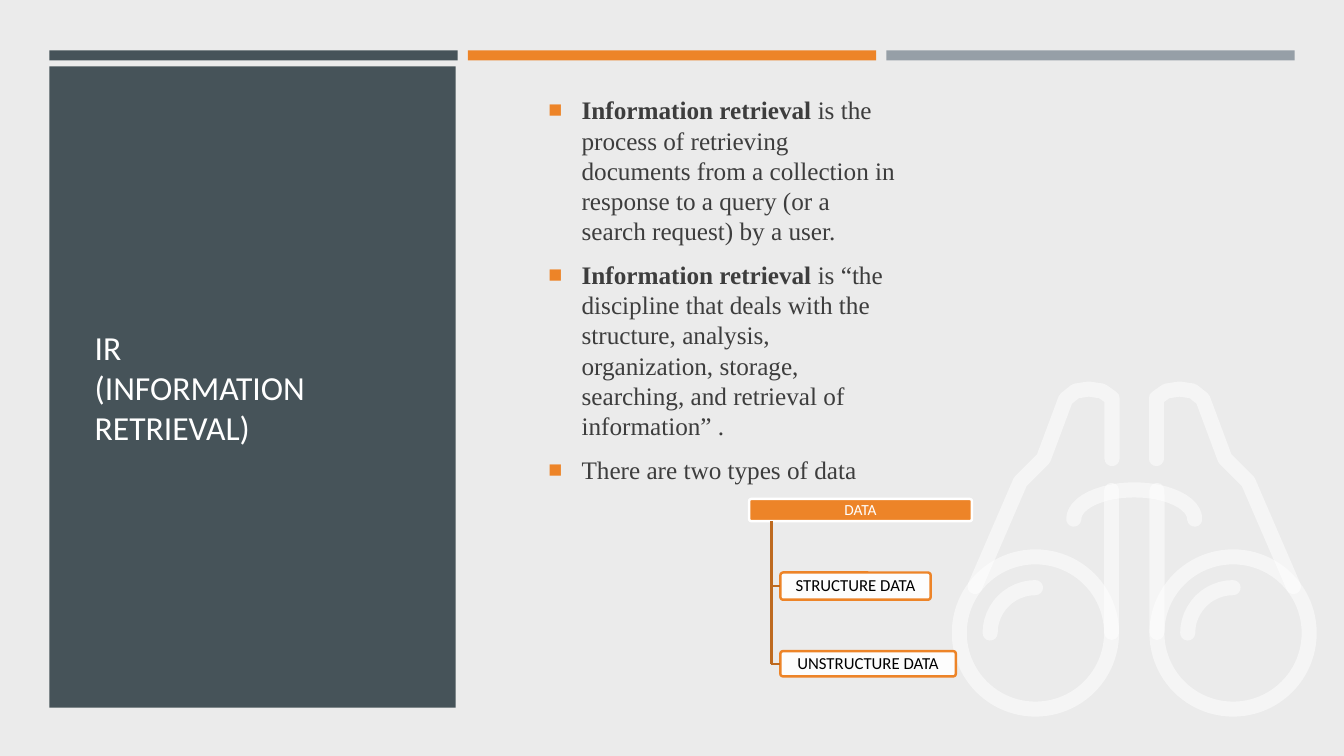
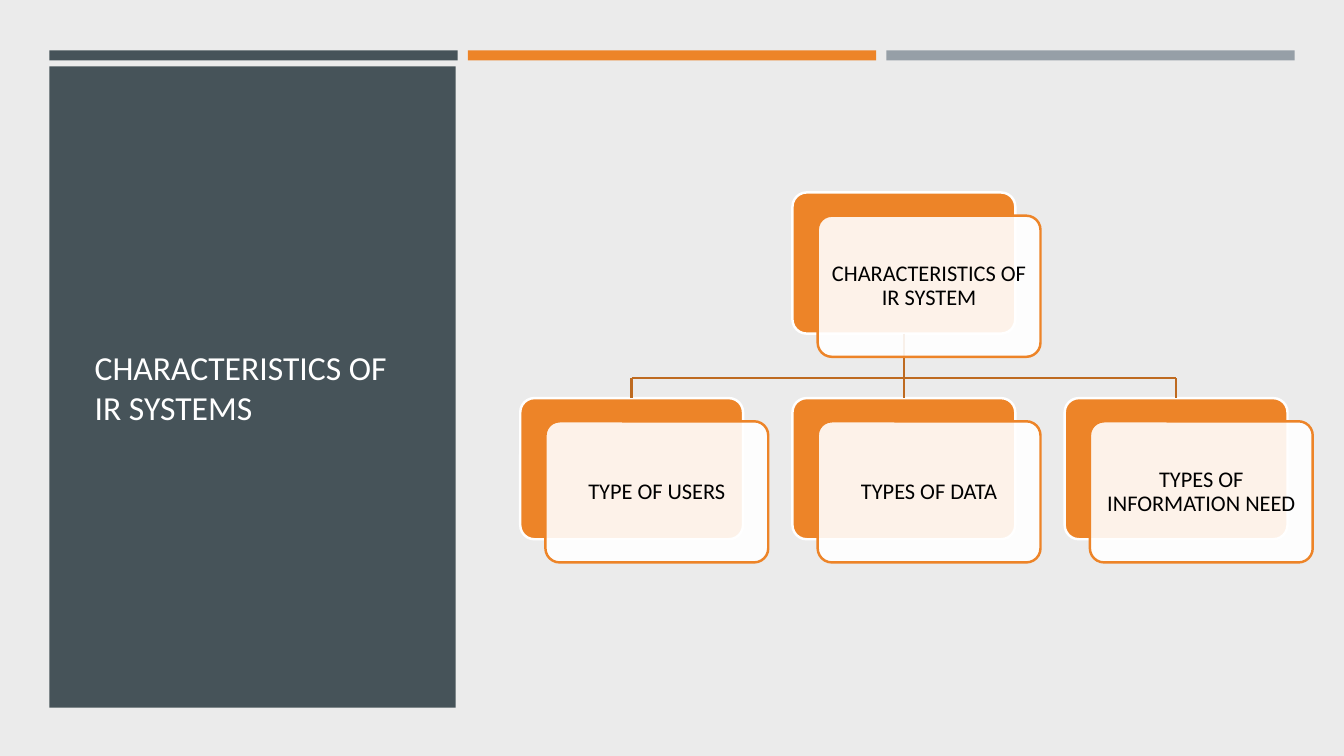
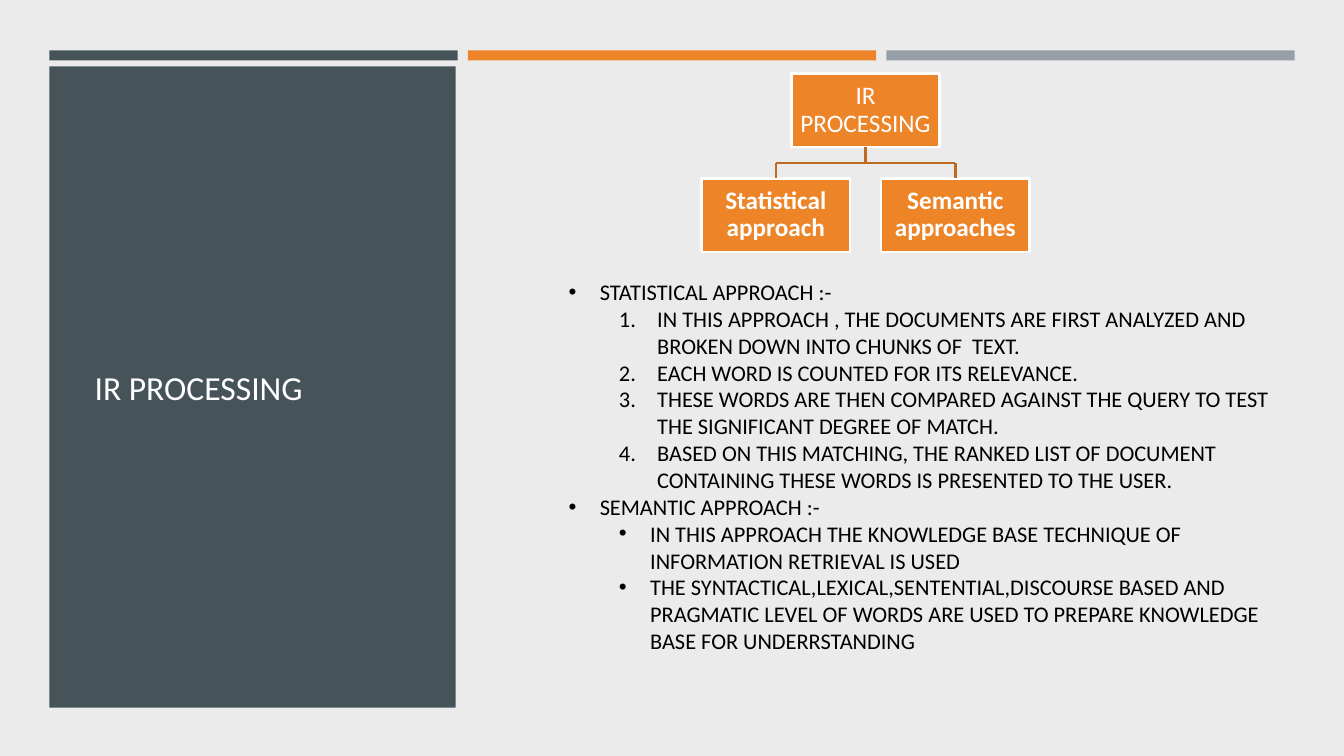
from math import cos, pi, sin

from lxml.etree import SubElement
from pptx import Presentation
from pptx.dml.color import RGBColor
from pptx.enum.shapes import MSO_CONNECTOR, MSO_SHAPE
from pptx.enum.text import MSO_ANCHOR, PP_ALIGN
from pptx.oxml.ns import qn
from pptx.util import Inches, Pt

SLATE, ORANGE, GREY = "465359", "ED8428", "969FA7"
PALE, RUST, WHITE, BLACK, INK = "EBEBEB", "BE6A20", "FFFFFF", "000000", "3D3D3D"
FONT = "Calibri"
RECT, ROUND = MSO_SHAPE.RECTANGLE, MSO_SHAPE.ROUNDED_RECTANGLE
rgb = RGBColor.from_string


def box(slide, kind, at, fill, edge=None, alpha=100, text="", size=16,
        ink=BLACK, bold=False, pad=0.02):
    shape = slide.shapes.add_shape(kind, *[Inches(v) for v in at])
    shape.shadow.inherit = False
    shape.fill.solid()
    shape.fill.fore_color.rgb = rgb(fill)
    if alpha < 100:
        tint = shape._element.spPr.find(qn("a:solidFill"))[0]
        SubElement(tint, qn("a:alpha"), val=str(alpha * 1000))
    if edge:
        shape.line.color.rgb = rgb(edge)
        shape.line.width = Pt(1.75)
    else:
        shape.line.fill.background()
    if kind == ROUND:
        shape.adjustments[0] = 0.1
    if text:
        frame = shape.text_frame
        frame.text = text
        frame.word_wrap = True
        frame.vertical_anchor = MSO_ANCHOR.MIDDLE
        frame.margin_left = frame.margin_right = Inches(pad)
        frame.margin_top = frame.margin_bottom = Inches(pad)
        para = frame.paragraphs[0]
        para.alignment = PP_ALIGN.CENTER
        para.line_spacing = 0.9
        font = para.runs[0].font
        font.name, font.size, font.bold = FONT, Pt(size), bold
        font.color.rgb = rgb(ink)
    return shape


def link(slide, x1, y1, x2, y2):
    line = slide.shapes.add_connector(MSO_CONNECTOR.STRAIGHT, x1, y1, x2, y2)
    line.line.color.rgb = rgb(RUST)
    line.line.width = Pt(1.75)
    SubElement(line._element.spPr, qn("a:effectLst"))
    return line


deck = Presentation()
deck.slide_width, deck.slide_height = Inches(13.33), Inches(7.5)

# Background, bands, side panel and title of every slide
titles = ["IR\v(INFORMATION RETRIEVAL)", "CHARACTERISTICS OF IR SYSTEMS",
          "IR PROCESSING"]
slides = []
for title in titles:
    slide = deck.slides.add_slide(deck.slide_layouts[6])
    slide.background.fill.solid()
    slide.background.fill.fore_color.rgb = rgb(PALE)
    for i, color in enumerate([SLATE, ORANGE, GREY]):
        box(slide, RECT, (0.49 + 4.15 * i, 0.5, 4.05, 0.1), color)
    box(slide, RECT, (0.49, 0.66, 4.03, 6.36), SLATE)
    area = slide.shapes.add_textbox(Inches(0.84), Inches(2.9), Inches(3.32), Inches(1.88))
    frame = area.text_frame
    frame.text = title
    frame.word_wrap = True
    frame.vertical_anchor = MSO_ANCHOR.MIDDLE
    for run in frame.paragraphs[0].runs:
        run.font.name, run.font.size = FONT, Pt(24)
        run.font.color.rgb = rgb(WHITE)
    slides.append(slide)
intro, traits, process = slides

# Bulleted lists: each row has bold text, plain text, bullet, indent, hang, level
square, top, step, sub = ("■", 0.33, 0.33, 0), ("•", 0.81, 0.31, 1), ("1.", 1.38, 0.38, 2), ("•", 1.31, 0.31, 2)
facts = [
    ("Information retrieval ", "is the process of retrieving documents from a collection in "
     "response to a query (or a search request) by a user.", square),
    ("Information retrieval ", "is “the discipline that deals with the structure, analysis, "
     "organization, storage, searching, and retrieval of information” .", square),
    ("", "There are two types of data", square),
]
steps = [
    ("", "STATISTICAL APPROACH :-", top),
    ("", "IN THIS APPROACH , THE DOCUMENTS ARE FIRST ANALYZED AND BROKEN DOWN "
     "INTO CHUNKS OF  TEXT.", step),
    ("", "EACH WORD IS COUNTED FOR ITS RELEVANCE.", step),
    ("", "THESE WORDS ARE THEN COMPARED AGAINST THE QUERY TO TEST THE SIGNIFICANT "
     "DEGREE OF MATCH.", step),
    ("", "BASED ON THIS MATCHING, THE RANKED LIST OF DOCUMENT CONTAINING THESE WORDS "
     "IS PRESENTED TO THE USER.", step),
    ("", "SEMANTIC APPROACH :-", top),
    ("", "IN THIS APPROACH THE KNOWLEDGE BASE TECHNIQUE OF INFORMATION RETRIEVAL IS USED", sub),
    ("", "THE SYNTACTICAL,LEXICAL,SENTENTIAL,DISCOURSE BASED AND PRAGMATIC LEVEL OF WORDS "
     "ARE USED TO PREPARE KNOWLEDGE BASE FOR UNDERRSTANDING", sub),
]
lists = [(intro, (5.34, 0.89, 3.68, 4), "Times New Roman", 18, INK, 9.6, facts),
         (process, (5.04, 2.71, 7.89, 3.87), FONT, 16, BLACK, 0, steps)]
for slide, at, face, size, ink, gap, rows in lists:
    frame = slide.shapes.add_textbox(*[Inches(v) for v in at]).text_frame
    frame.word_wrap = True
    for i, (lead, rest, (mark, left, hang, level)) in enumerate(rows):
        para = frame.add_paragraph() if i else frame.paragraphs[0]
        para.level = level
        para.space_after = Pt(gap)
        for text in filter(None, [lead, rest]):
            run = para.add_run()
            run.text = text
            run.font.name, run.font.size, run.font.bold = face, Pt(size), text == lead
            run.font.color.rgb = rgb(ink)
        props = para._p.get_or_add_pPr()
        props.set("marL", str(Inches(left)))
        props.set("indent", str(-Inches(hang)))
        if mark == "■":
            SubElement(SubElement(props, qn("a:buClr")), qn("a:srgbClr"), val=ORANGE)
            SubElement(props, qn("a:buSzPct"), val="92000")
        if mark == "1.":
            SubElement(props, qn("a:buAutoNum"), type="arabicPeriod")
        else:
            SubElement(props, qn("a:buFont"), typeface="Arial")
            SubElement(props, qn("a:buChar"), char=mark)

# Binoculars: rings and bars, then round-ended strokes
for x in (9.44, 11.4):
    ring = box(intro, MSO_SHAPE.DONUT, (x, 5.45, 1.66, 1.66), WHITE, alpha=50)
    ring.adjustments[0] = 0.09
for x in (10.95, 11.4):
    bar = box(intro, ROUND, (x, 4.79, 0.15, 1.56), WHITE, alpha=50)
    bar.adjustments[0] = 0.5
tube = [(9.67, 5.82), (10.12, 4.78), (10.35, 4.55), (10.57, 3.96), (10.67, 3.88),
        (10.8, 3.86), (10.93, 3.88), (11.03, 3.95), (11.03, 4.55)]
turns = [pi * i / 24 for i in range(25)]
bridge = [(11.25 - 0.6 * cos(t), 5.15 - 0.29 * sin(t)) for t in turns]
glint = [(10.27 - 0.45 * cos(t), 6.28 - 0.45 * sin(t)) for t in turns[:13]]
strokes = [tube, [(22.5 - x, y) for x, y in tube], bridge,
           glint, [(x + 1.96, y) for x, y in glint]]
for dots in strokes:
    dots = [(Inches(x), Inches(y)) for x, y in dots]
    pen = intro.shapes.build_freeform(*dots[0])
    pen.add_line_segments(dots[1:], close=False)
    curve = pen.convert_to_shape()
    curve.shadow.inherit = False
    curve.fill.background()
    curve.line.color.rgb = rgb(WHITE)
    curve.line.width = Pt(10.8)
    edge = curve._element.spPr.find(qn("a:ln"))
    edge.set("cap", "rnd")
    SubElement(next(edge.iter(qn("a:srgbClr"))), qn("a:alpha"), val="50000")
    SubElement(edge, qn("a:round"))

# Data types: a trunk with two branches
box(intro, ROUND, (7.43, 4.95, 2.21, 0.22), ORANGE, WHITE, text="DATA", size=11, ink=WHITE)
trunk = Inches(7.65)
link(intro, trunk, Inches(5.17), trunk, Inches(6.59))
for name, y, wide, high in [("STRUCTURE DATA", 5.68, 1.49, 0.27),
                            ("UNSTRUCTURE DATA", 6.46, 1.74, 0.25)]:
    leaf = box(intro, ROUND, (7.74, y, wide, high), WHITE, ORANGE, 90, name, 12)
    mid = leaf.top + leaf.height // 2
    link(intro, trunk, mid, leaf.left, mid).end_connect(leaf, 1)

# Back cards of the characteristics, root first
names = ["CHARACTERISTICS OF IR SYSTEM", "TYPE OF USERS", "TYPES OF DATA",
         "TYPES OF INFORMATION NEED"]
spots = [(7.86, 1.91)] + [(5.16 + 2.7 * i, 3.95) for i in range(3)]
cards = [box(traits, ROUND, (x, y, 2.21, 1.4), ORANGE, WHITE) for x, y in spots]

# Processing approaches, root first
nodes = [box(process, RECT, (x, y, 1.47, 0.73), ORANGE, WHITE, text=name, size=18,
             ink=WHITE, bold=y > 1, pad=0.01)
         for name, x, y in [("IR PROCESSING", 7.85, 0.73),
                            ("Statistical approach", 6.96, 1.77),
                            ("Semantic approaches", 8.74, 1.77)]]

# Tree lines: stem, crossbar and drops
for slide, (root, *kids), level in [(traits, cards, 3.75), (process, nodes, 1.62)]:
    bar = Inches(level)
    mids = [kid.left + kid.width // 2 for kid in kids]
    stem = root.left + root.width // 2
    link(slide, stem, root.top + root.height, stem, bar).begin_connect(root, 2)
    link(slide, mids[0], bar, mids[-1], bar)
    for kid, mid in zip(kids, mids):
        link(slide, mid, bar, mid, kid.top).end_connect(kid, 0)

# Front cards
for name, (x, y) in zip(names, spots):
    box(traits, ROUND, (x + 0.25, y + 0.23, 2.21, 1.4), WHITE, ORANGE, 90, name, pad=0.1)

deck.save("out.pptx")
